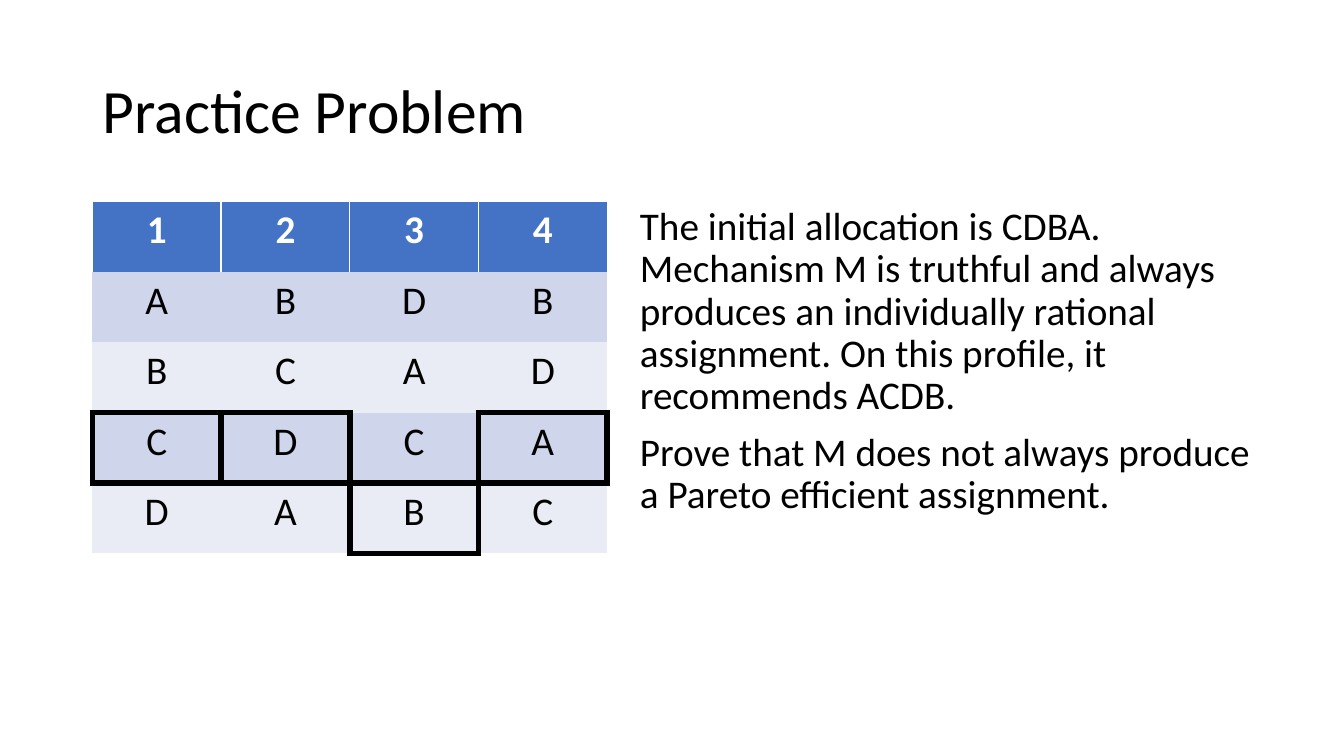
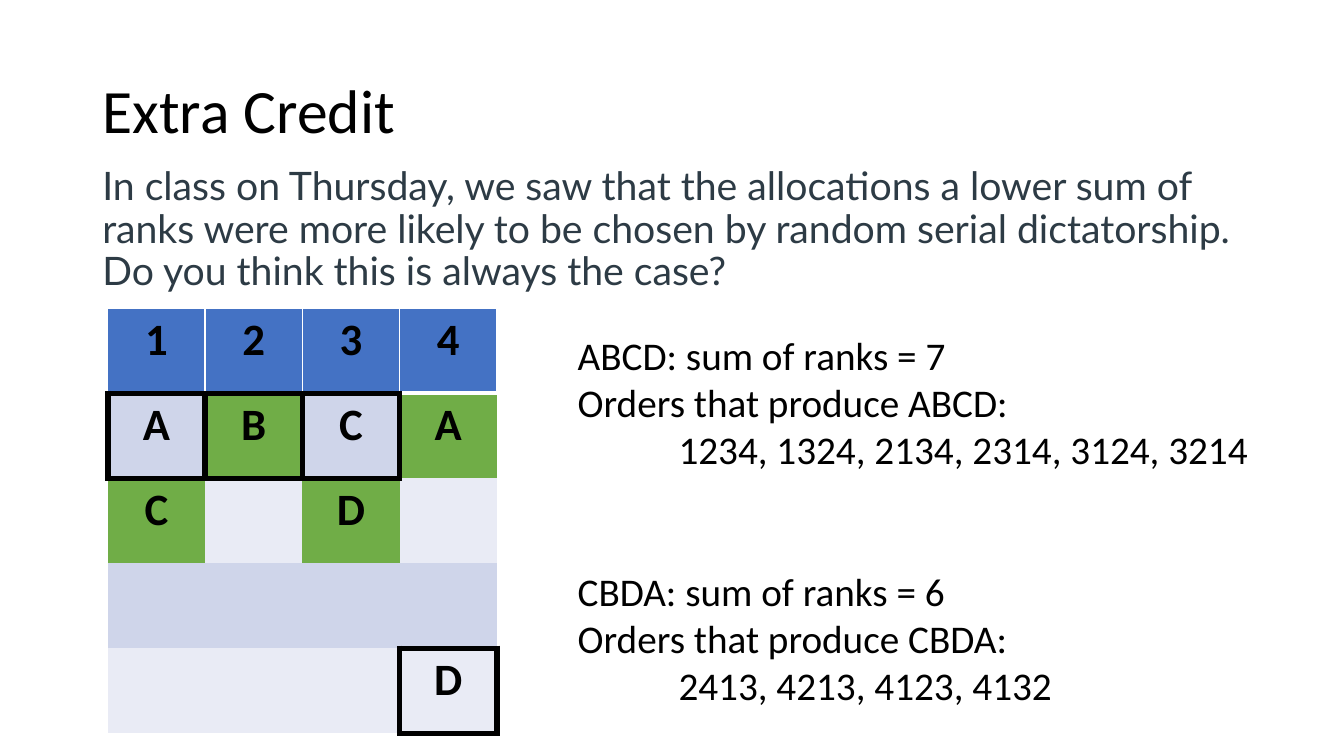
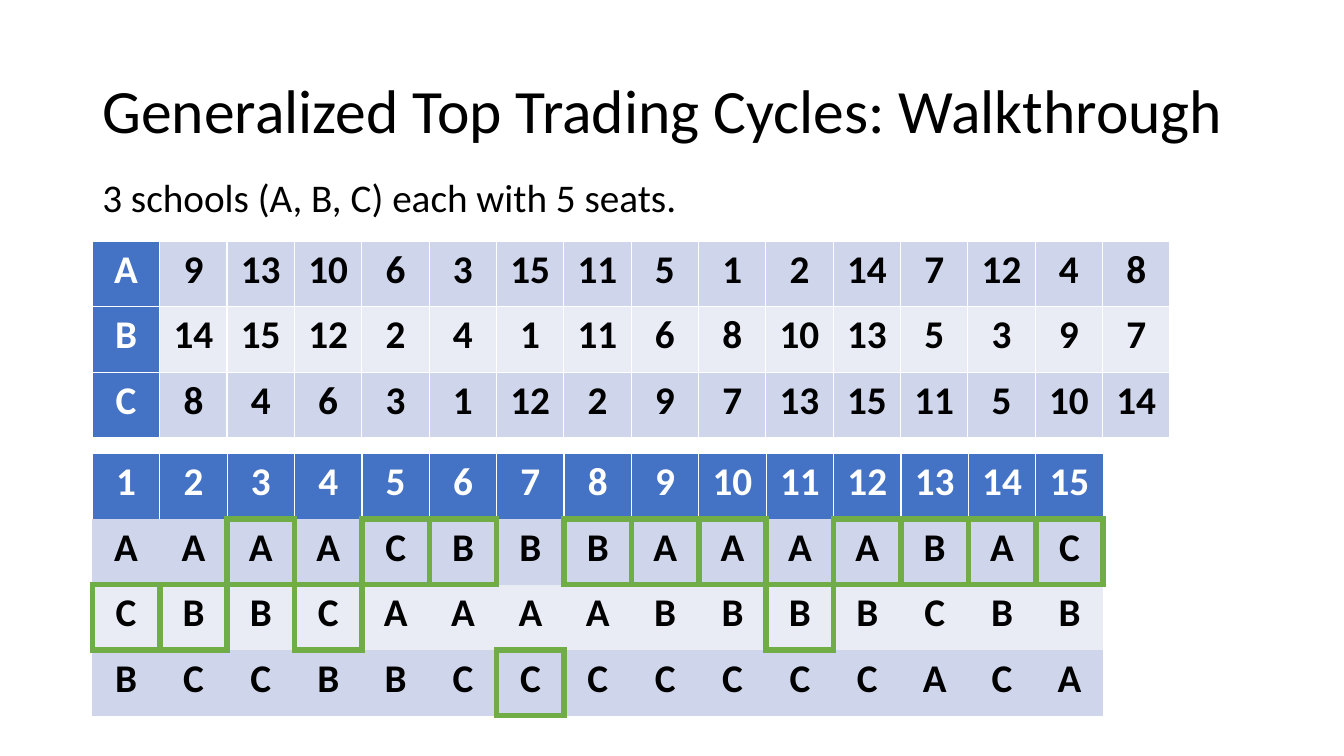
"""Build three slides on assignment mechanisms: text and preference tables."""
from pptx import Presentation
from pptx.dml.color import RGBColor
from pptx.enum.text import MSO_ANCHOR, MSO_AUTO_SIZE, PP_ALIGN
from pptx.oxml import parse_xml
from pptx.oxml.ns import nsdecls, qn
from pptx.util import Inches, Pt

LEFT, MID = PP_ALIGN.LEFT, PP_ALIGN.CENTER
CORE, TOP = MSO_ANCHOR.MIDDLE, MSO_ANCHOR.TOP
FIXED = MSO_AUTO_SIZE.NONE
BLACK, WHITE, SLATE = "000000", "FFFFFF", "2D3B45"
BLUE, GREEN, DARK, LIGHT = "4472C4", "70AD47", "CFD5EA", "E9EBF5"
PLAIN = "{2D5ABB26-0587-4C30-8999-92F81FD0307C}"
SIDES = {"L": (0, -1), "R": (0, 1), "T": (-1, 0), "B": (1, 0)}
BODY = {"size": Pt(28), "name": "Calibri", "bold": False}
BOLD = {**BODY, "bold": True}
HEAD = {**BODY, "size": Pt(44)}

deck = Presentation()
deck.slide_width, deck.slide_height = Inches(40 / 3), Inches(7.5)
UNIT = deck.slide_width / 160
rgb = RGBColor.from_string


def write(frame, lines, look, ink, form):
    """Fill a frame with (text, space before, indent) lines in one format."""
    frame.word_wrap = True
    for i, (text, gap, dent) in enumerate(lines):
        para = frame.add_paragraph() if i else frame.paragraphs[0]
        if dent:
            para._p.get_or_add_pPr().set("marL", str(Inches(dent)))
        for key, val in {**form, "space_before": Pt(gap)}.items():
            setattr(para, key, val)
        if text:
            run = para.add_run()
            run.text = text
            for key, val in look.items():
                setattr(run.font, key, val)
            run.font.color.rgb = rgb(ink)


def edge(cell, spot, side, ink, width):
    """Set one border of a cell; zero width clears it."""
    fill = f'<a:solidFill><a:srgbClr val="{ink}"/></a:solidFill>' if width else "<a:noFill/>"
    line = f'<a:ln{side} {nsdecls("a")} w="{Pt(width)}">{fill}</a:ln{side}>'
    cell._tc.get_or_add_tcPr().insert(spot, parse_xml(line))


TIGHT = {"alignment": LEFT, "line_spacing": 0.9}
LOOSE = {"alignment": LEFT, "line_spacing": 1.0}

pages = [
    {
        "title": "Practice Problem",
        "texts": [
            ((75, 24, 75, 57), BODY, BLACK, TIGHT, [
                ("The initial allocation is CDBA. Mechanism M is truthful and always produces "
                 "an individually rational assignment. On this profile, it recommends ACDB.", 0, 0),
                ("Prove that M does not always produce a Pareto efficient assignment.", 10, 0),
            ]),
        ],
        "grids": [
            {"box": (11, 24, 61.3, 41.9), "look": BODY, "picks": "3343", "mark": BLACK,
             "rows": ["1 2 3 4", "A B D B", "B C A D", "C D C A", "D A B C"]},
        ],
    },
    {
        "title": "Extra Credit",
        "texts": [
            ((11, 19.3, 138, 57), {**BODY, "name": "Lato"}, SLATE, TIGHT, [
                ("In class on Thursday, we saw that the allocations a lower sum of ranks were more "
                 "likely to be chosen by random serial dictatorship. Do you think this is always "
                 "the case?", 0, 0),
            ]),
            ((67.6, 38.8, 83.3, 46.4), BODY, BLACK, LOOSE, [
                ("ABCD: sum of ranks = 7", 0, 0),
                ("Orders that produce ABCD:", 0, 0),
                ("1234, 1324, 2134, 2314, 3124, 3214", 0, 1),
                ("CBDA: sum of ranks = 6", 68, 0),
                ("Orders that produce CBDA:", 0, 0),
                ("2413, 4213, 4123, 4132", 0, 1),
            ]),
        ],
        "grids": [
            {"box": (12.84, 36.7, 46.3, 50.6), "look": {**BOLD, "size": Pt(32)},
             "picks": "1114", "mark": BLACK, "ink": BLACK, "rule": 3,
             "green": {(1, 1), (1, 3), (2, 0), (2, 2)},
             "rows": ["1 2 3 4", "A B C A", "C - D -", "- - - -", "- - - D"]},
        ],
    },
    {
        "title": "Generalized Top Trading Cycles: Walkthrough",
        "texts": [
            ((11, 20, 71.6, 6.8), BODY, BLACK, LOOSE,
             [("3 schools (A, B, C) each with 5 seats.", 0, 0)]),
        ],
        "grids": [
            {"box": (11, 28.7, 128.3, 23.4), "look": BOLD, "side": True,
             "rows": ["A 9 13 10 6 3 15 11 5 1 2 14 7 12 4 8",
                      "B 14 15 12 2 4 1 11 6 8 10 13 5 3 9 7",
                      "C 8 4 6 3 1 12 2 9 7 13 15 11 5 10 14"]},
            {"box": (11, 54, 120.4, 31.2), "look": BOLD,
             "picks": "221211311121111", "mark": GREEN,
             "rows": ["1 2 3 4 5 6 7 8 9 10 11 12 13 14 15",
                      "A A A A C B B B A A A A B A C",
                      "C B B C A A A A B B B B C B B",
                      "B C C B B C C C C C C C A C A"]},
        ],
    },
]

for page in pages:
    slide = deck.slides.add_slide(deck.slide_layouts[5])
    title = slide.shapes.title
    place = {"left": 11, "top": 4.8, "width": 138, "height": 17.4}
    for key, val in place.items():
        setattr(title, key, int(val * UNIT))
    title.text_frame.auto_size = FIXED
    title.text_frame.vertical_anchor = CORE
    write(title.text_frame, [(page["title"], 0, 0)], HEAD, BLACK, TIGHT)

    for box, look, ink, form, lines in page["texts"]:
        note = slide.shapes.add_textbox(*[int(n * UNIT) for n in box])
        note.text_frame.vertical_anchor = TOP
        write(note.text_frame, lines, look, ink, form)

    for grid in page["grids"]:
        rows = [row.split() for row in grid["rows"]]
        side = grid.get("side", False)
        marks = {(int(r), c) for c, r in enumerate(grid.get("picks", ""))}
        x, y, wide, high = [int(n * UNIT) for n in grid["box"]]
        frame = slide.shapes.add_table(len(rows), len(rows[0]), x, y, wide, high)
        frame.element.find(".//" + qn("a:tableStyleId")).text = PLAIN
        for r, row in enumerate(rows):
            for c, text in enumerate(row):
                cell = frame.table.cell(r, c)
                for spot, (name, (down, right)) in enumerate(SIDES.items()):
                    near = (r + down, c + right)
                    ink, width = WHITE, 0
                    if marks & {(r, c), near}:
                        ink, width = grid["mark"], 4.5
                    elif side:
                        width = 1
                    elif {r, near[0]} == {0, 1}:
                        width = grid.get("rule", 0)
                    elif r == 0:
                        width = 1
                    edge(cell, spot, name, ink, width)
                head = c == 0 if side else r == 0
                band = DARK if r % 2 != side else LIGHT
                tint = GREEN if (r, c) in grid.get("green", ()) else band
                cell.fill.solid()
                cell.fill.fore_color.rgb = rgb(BLUE if head else tint)
                ink = grid.get("ink", WHITE) if head else BLACK
                look = {**grid["look"], "bold": head or grid["look"]["bold"]}
                write(cell.text_frame, [(text.strip("-"), 0, 0)], look, ink, {"alignment": MID})

deck.save("out.pptx")
